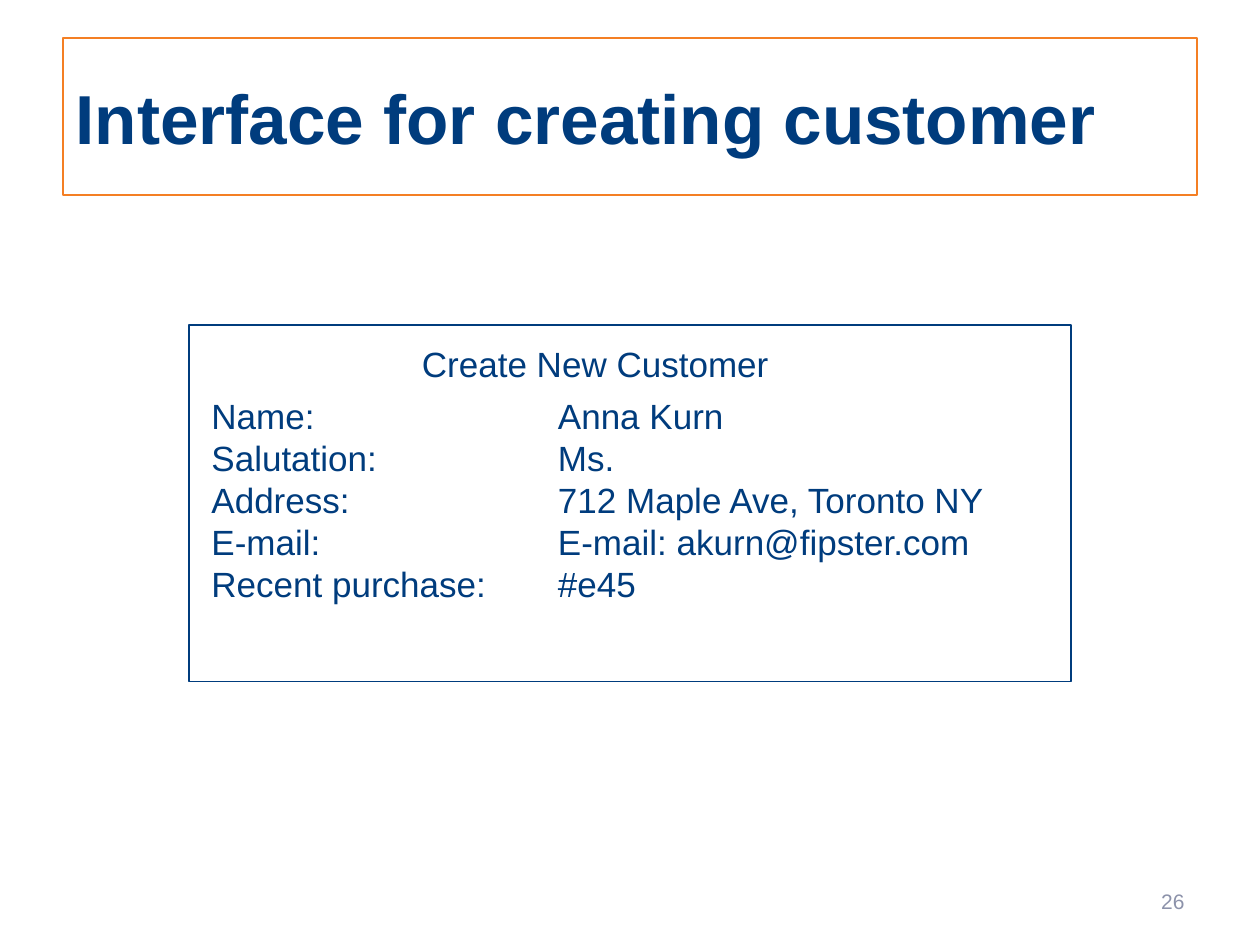
import pptx
import pptx.util
import pptx.dml.color
import pptx.enum.shapes
import pptx.enum.text
from pptx.util import Inches

NAVY = "003C7D"
ORANGE = "F47F24"
GREY = "8C92AA"


def color(hex_string):
    return pptx.dml.color.RGBColor.from_string(hex_string)


def write_lines(box, lines, size, hex_string):
    """Fill a box with one paragraph per line, all in the same font."""
    frame = box.text_frame
    frame.word_wrap = True
    frame.text = "\n".join(lines)
    for para in frame.paragraphs:
        para.font.name = "Arial"
        para.font.size = pptx.util.Pt(size)
        para.font.color.rgb = color(hex_string)
    return frame


deck = pptx.Presentation()
deck.slide_width, deck.slide_height = Inches(10), Inches(7.5)
page = deck.slides.add_slide(deck.slide_layouts[5])

# Title
title = page.shapes.title
title.left, title.top = Inches(0.5), Inches(0.3)
title.width, title.height = Inches(9), Inches(1.25)
title.line.color.rgb = color(ORANGE)
title.line.width = pptx.util.Pt(1)
title_frame = write_lines(title, ["Interface for creating customer"], 39.6, NAVY)
title_frame.vertical_anchor = pptx.enum.text.MSO_ANCHOR.MIDDLE
title_frame.paragraphs[0].alignment = pptx.enum.text.PP_ALIGN.LEFT
title_frame.paragraphs[0].font.bold = True

# Page number
number = page.shapes.add_textbox(Inches(7.17), Inches(6.95), Inches(2.33), Inches(0.4))
number_frame = write_lines(number, ["26"], 12, GREY)
number_frame.vertical_anchor = pptx.enum.text.MSO_ANCHOR.MIDDLE
number_frame.paragraphs[0].alignment = pptx.enum.text.PP_ALIGN.RIGHT

# Form window
window = page.shapes.add_shape(
    pptx.enum.shapes.MSO_SHAPE.RECTANGLE,
    Inches(1.5), Inches(2.58), Inches(7), Inches(2.83))
window.shadow.inherit = False
window.fill.background()
window.line.color.rgb = color(NAVY)
window.line.width = pptx.util.Pt(0.75)

heading = page.shapes.add_textbox(Inches(3.25), Inches(2.67), Inches(2.98), Inches(0.44))
write_lines(heading, ["Create New Customer"], 20, NAVY)

# Form fields: labels on the left, values on the right
fields = [
    ("Name:", "Anna Kurn"),
    ("Salutation:", "Ms."),
    ("Address:", "712 Maple Ave, Toronto NY"),
    ("E-mail:", "E-mail: akurn@fipster.com"),
    ("Recent purchase:", "#e45"),
]
labels, values = zip(*fields)
for left, width, lines in [(1.58, 2.4, labels), (4.33, 3.6, values)]:
    column = page.shapes.add_textbox(Inches(left), Inches(3.08), Inches(width), Inches(2.12))
    for para in write_lines(column, lines, 20, NAVY).paragraphs:
        para.line_spacing = pptx.util.Pt(24)

deck.save("out.pptx")
